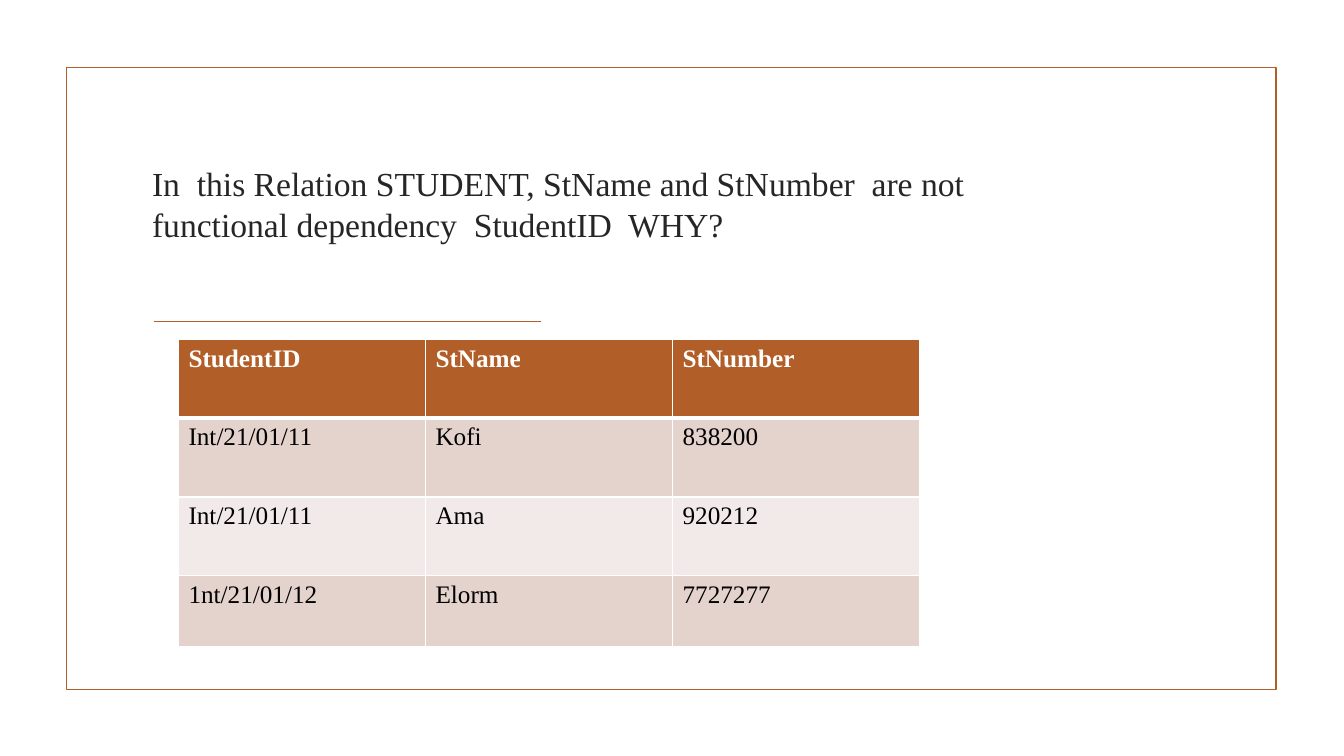
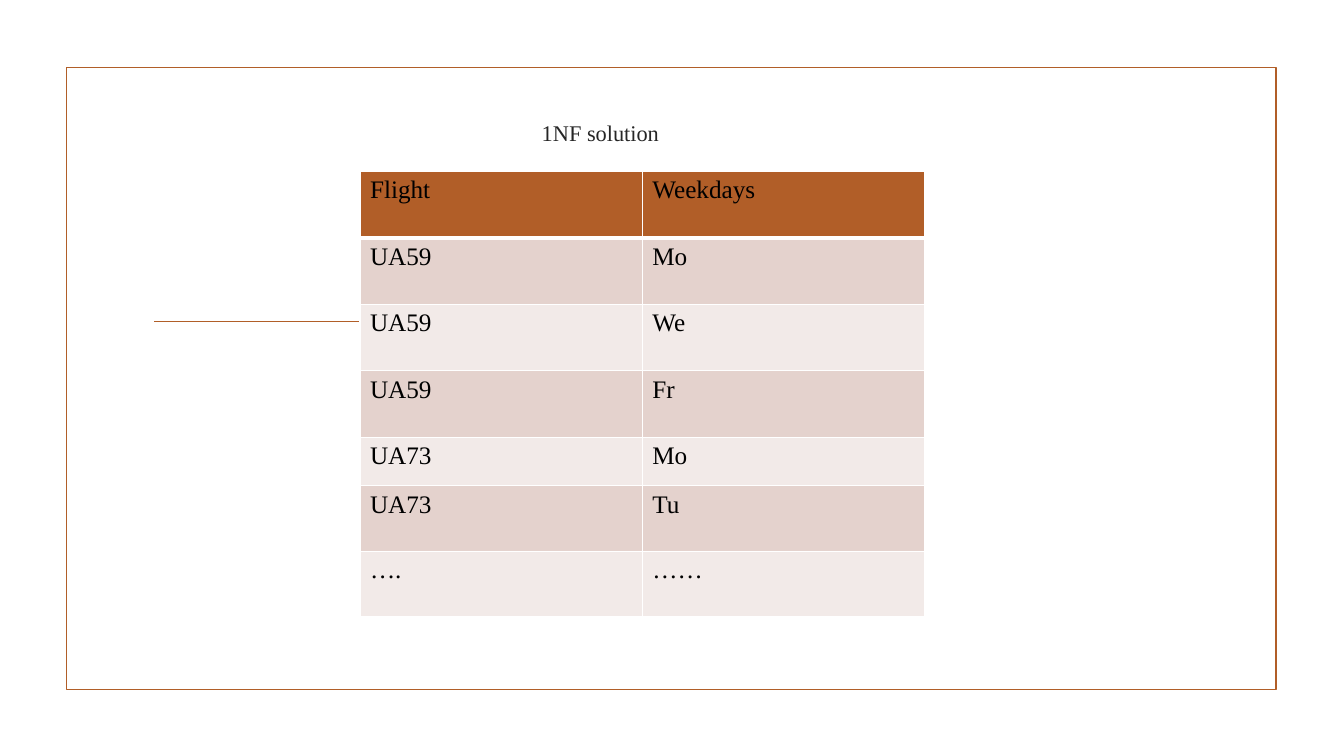
from pptx import Presentation
from pptx.dml.color import RGBColor
from pptx.enum.shapes import MSO_CONNECTOR, MSO_SHAPE
from pptx.enum.text import MSO_ANCHOR, PP_ALIGN
from pptx.oxml.ns import qn
from pptx.util import Inches, Pt
from lxml.etree import SubElement

FONT = "Times New Roman"
RUST = RGBColor(0xB1, 0x5E, 0x28)
ROSE = RGBColor(0xE4, 0xD2, 0xCD)
PALE = RGBColor(0xF2, 0xEA, 0xE8)
INK = RGBColor(0x26, 0x26, 0x26)
BLACK = RGBColor(0, 0, 0)
WHITE = RGBColor(0xFF, 0xFF, 0xFF)

SLIDES = [
    {
        "text": "In  this Relation STUDENT, StName and StNumber  are not "
                "functional dependency  StudentID  WHY?",
        "box": (1.41, 1.37, 9.28, 1.1),
        "size": 24,
        "anchor": MSO_ANCHOR.BOTTOM,
        "align": PP_ALIGN.LEFT,
        "table": [
            ("StudentID", "StName", "StNumber"),
            ("Int/21/01/11", "Kofi", "838200"),
            ("Int/21/01/11", "Ama", "920212"),
            ("1nt/21/01/12", "Elorm", "7727277"),
        ],
        "place": (1.77, 3.37),
        "col": 2.45,
        "rows": [0.78, 0.78, 0.78, 0.7],
        "head": WHITE,
        "bold": True,
    },
    {
        "text": "1NF solution",
        "box": (3.92, 1.13, 4.07, 0.57),
        "size": 16,
        "anchor": MSO_ANCHOR.TOP,
        "align": PP_ALIGN.CENTER,
        "table": [
            ("Flight", "Weekdays"),
            ("UA59", "Mo"),
            ("UA59", "We"),
            ("UA59", "Fr"),
            ("UA73", "Mo"),
            ("UA73", "Tu"),
            ("….", "……"),
        ],
        "place": (3.57, 1.7),
        "col": 2.8,
        "rows": [0.66, 0.66, 0.66, 0.66, 0.48, 0.65, 0.65],
        "head": BLACK,
        "bold": False,
    },
]


def style(para, size, color, bold=False):
    font = para.font
    font.name, font.size, font.bold = FONT, Pt(size), bold
    font.color.rgb = color


def add_frame(slide):
    """Draw the border and the short rule that every slide carries."""
    frame = slide.shapes.add_shape(
        MSO_SHAPE.RECTANGLE, *map(Inches, (0.66, 0.67, 12, 6.17)))
    frame.shadow.inherit = False
    frame.fill.background()
    rule = slide.shapes.add_connector(
        MSO_CONNECTOR.STRAIGHT, *map(Inches, (1.53, 3.19, 5.37, 3.19)))
    SubElement(rule._element.spPr, qn("a:effectLst"))
    for shape in (frame, rule):
        shape.line.color.rgb = RUST
        shape.line.width = Pt(1.25)


def add_text(slide, data):
    box = slide.shapes.add_textbox(*map(Inches, data["box"]))
    frame = box.text_frame
    frame.word_wrap = True
    frame.vertical_anchor = data["anchor"]
    para = frame.paragraphs[0]
    para.text = data["text"]
    para.alignment = data["align"]
    style(para, data["size"], INK)


def add_edges(cell, row):
    """Edge a cell in white, thicker where the header meets the body."""
    props = cell._tc.get_or_add_tcPr()
    thick = {0: "lnB", 1: "lnT"}.get(row)
    for side in ("lnL", "lnR", "lnT", "lnB"):
        width = Pt(3 if side == thick else 1)
        line = SubElement(props, qn(f"a:{side}"), w=str(width))
        fill = SubElement(line, qn("a:solidFill"))
        SubElement(fill, qn("a:srgbClr"), val=str(WHITE))


def add_grid(slide, data):
    cells, heights = data["table"], data["rows"]
    count = len(cells[0])
    size = (data["col"] * count, sum(heights))
    table = slide.shapes.add_table(
        len(cells), count, *map(Inches, data["place"] + size)).table
    table.first_row = table.horz_banding = False
    for row, (words, height) in enumerate(zip(cells, heights)):
        table.rows[row].height = Inches(height)
        head = row == 0
        shade = RUST if head else (PALE, ROSE)[row % 2]
        for col, word in enumerate(words):
            cell = table.cell(row, col)
            cell.text = word
            add_edges(cell, row)
            cell.fill.solid()
            cell.fill.fore_color.rgb = shade
            style(cell.text_frame.paragraphs[0], 18,
                  data["head"] if head else BLACK, head and data["bold"])


def main():
    deck = Presentation()
    deck.slide_width, deck.slide_height = Inches(13.33), Inches(7.5)
    for data in SLIDES:
        slide = deck.slides.add_slide(deck.slide_layouts[6])
        add_frame(slide)
        add_text(slide, data)
        add_grid(slide, data)
    deck.save("out.pptx")


if __name__ == "__main__":
    main()
